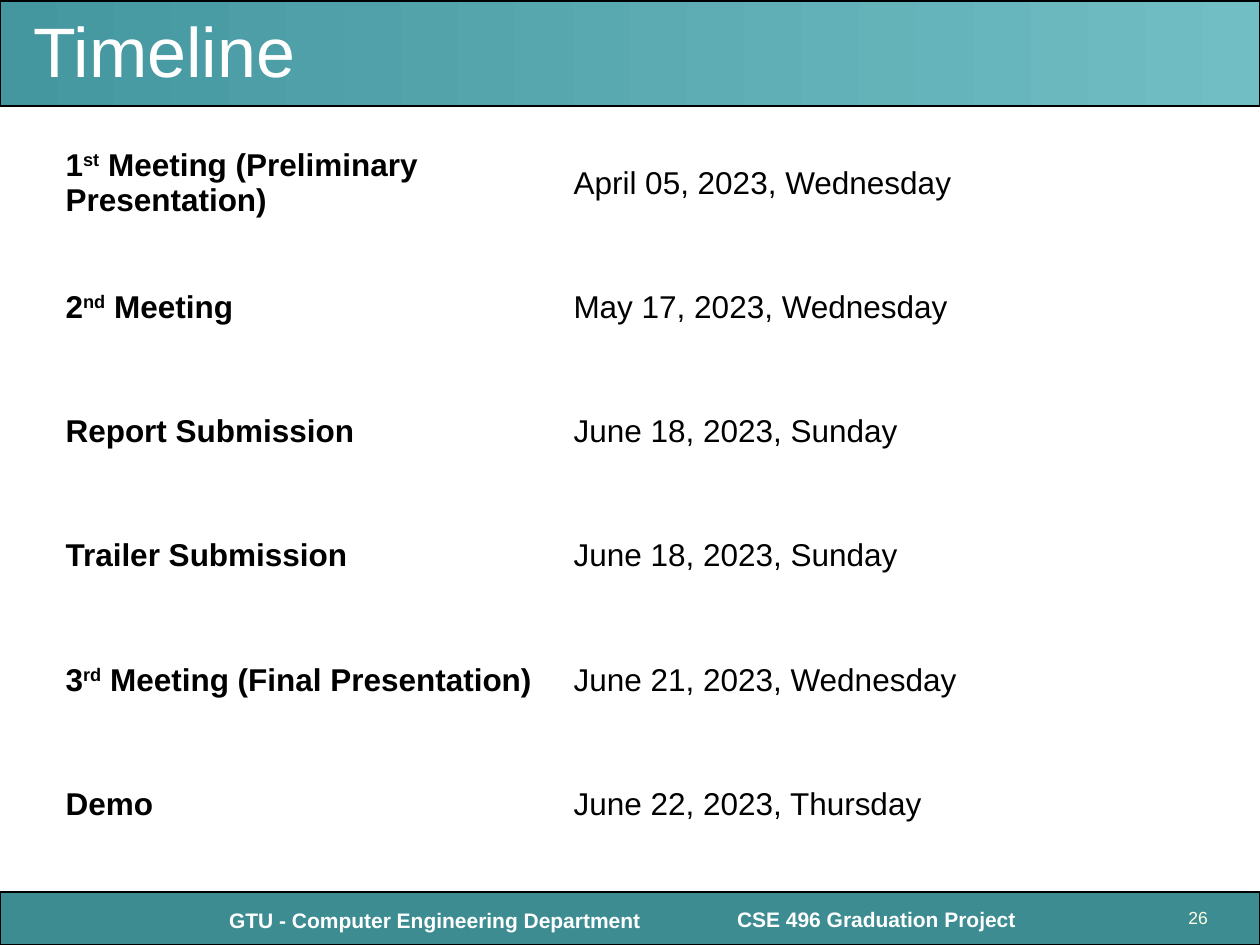
"""Build the project timeline slide with its dated milestones."""
from pptx import Presentation
from pptx.dml.color import RGBColor as RGB
from pptx.enum.shapes import MSO_SHAPE as SHAPE
from pptx.enum.text import MSO_ANCHOR as ANCHOR, PP_ALIGN as ALIGN
from pptx.util import Pt

MILESTONES = [
    (("1", "st", " Meeting (Preliminary Presentation)"), "April 05, 2023, Wednesday"),
    (("2", "nd", " Meeting"), "May 17, 2023, Wednesday"),
    (("Report Submission",), "June 18, 2023, Sunday"),
    (("Trailer Submission",), "June 18, 2023, Sunday"),
    (("3", "rd", " Meeting (Final Presentation)"), "June 21, 2023, Wednesday"),
    (("Demo",), "June 22, 2023, Thursday"),
]
FOOTERS = [
    ("GTU - Computer Engineering Department", (199, 901, 472, 38)),
    ("CSE 496 Graduation Project", (651, 900, 451, 38)),
]
COLORS = {
    "footer": "3C8C92", "header_start": "44969F", "header_end": "71BEC4",
    "outline": "000000", "ink": "000000", "white": "FFFFFF", "number": "FFFFE5",
}
COLUMN_WIDTHS = (508, 437, 210)
ROW_HEIGHT = 124.3
SCALE = 914400 / 126


def px(length):
    return round(length * SCALE)


def color(name):
    return RGB.from_string(COLORS[name])


def write(frame, *parts, size=18, ink="ink", bold=False, align=ALIGN.LEFT, spacing=None):
    paragraph = frame.paragraphs[0]
    paragraph.alignment = align
    paragraph.line_spacing = spacing
    for index, part in enumerate(parts):
        run = paragraph.add_run()
        run.text = part
        font = run.font
        font.name, font.size, font.bold = "Arial", Pt(size), bold
        font.color.rgb = color(ink)
        if index == 1:
            run._r.get_or_add_rPr().set("baseline", "30000")


def add_band(slide, top, height):
    band = slide.shapes.add_shape(SHAPE.RECTANGLE, 0, px(top), px(1260), px(height))
    band.shadow.inherit = False
    band.line.color.rgb = color("outline")
    band.line.width = Pt(0.75)
    slide.shapes.title.element.addprevious(band.element)
    return band


def add_label(slide, text, place, **style):
    label = slide.shapes.add_textbox(*map(px, place))
    label.text_frame.word_wrap = True
    write(label.text_frame, text, **style)


def add_schedule(slide):
    schedule = slide.shapes.add_table(
        len(MILESTONES), len(COLUMN_WIDTHS), px(53), px(121),
        px(sum(COLUMN_WIDTHS)), px(ROW_HEIGHT * len(MILESTONES))).table
    schedule.first_row = schedule.horz_banding = False
    for column, width in zip(schedule.columns, COLUMN_WIDTHS):
        column.width = px(width)
    for cell in schedule.iter_cells():
        cell.fill.background()
        cell.vertical_anchor = ANCHOR.MIDDLE
    for row, (event, date) in enumerate(MILESTONES):
        schedule.rows[row].height = px(ROW_HEIGHT)
        write(schedule.cell(row, 0).text_frame, *event, bold=True)
        write(schedule.cell(row, 1).text_frame, date)


def main():
    deck = Presentation()
    deck.slide_width, deck.slide_height = px(1260), px(945)
    slide = deck.slides.add_slide(deck.slide_layouts[5])

    footer = add_band(slide, 892, 53)
    footer.fill.solid()
    footer.fill.fore_color.rgb = color("footer")
    header = add_band(slide, 1, 105)
    header.fill.gradient()
    header.fill.gradient_angle = 0
    for stop, name in zip(header.fill.gradient_stops, ("header_start", "header_end")):
        stop.color.rgb = color(name)

    title = slide.shapes.title
    title.left, title.top, title.width, title.height = map(px, (21, 15, 1081, 79))
    title.text_frame.vertical_anchor = ANCHOR.MIDDLE
    write(title.text_frame, "Timeline", size=40, ink="white", spacing=0.9)

    for text, place in FOOTERS:
        add_label(slide, text, place, size=12, ink="white", bold=True, align=ALIGN.CENTER)
    add_label(slide, "26", (1176, 903, 63, 10), size=10, ink="number")
    add_schedule(slide)
    deck.save("out.pptx")


if __name__ == "__main__":
    main()
